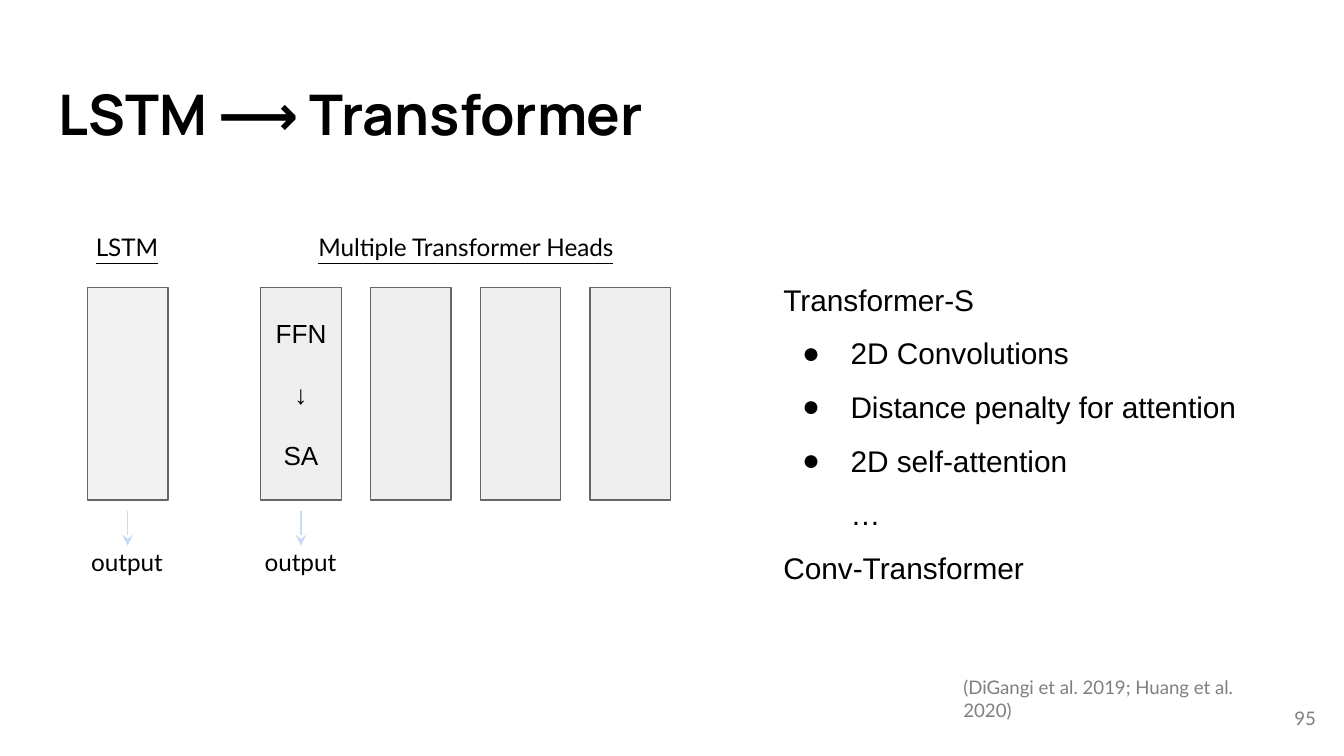
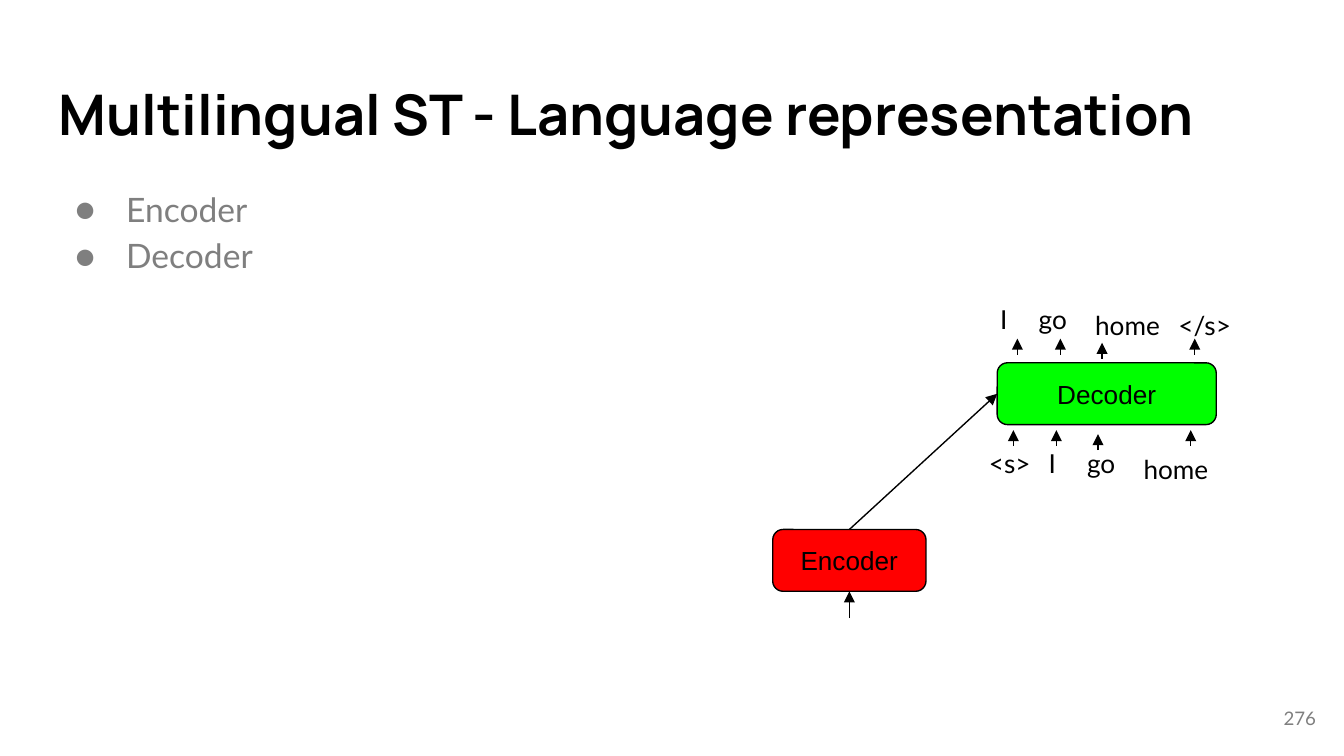
from lxml.etree import SubElement
from pptx import Presentation
from pptx.dml.color import RGBColor
from pptx.enum.shapes import MSO_CONNECTOR, MSO_SHAPE
from pptx.enum.text import MSO_ANCHOR, PP_ALIGN
from pptx.oxml.ns import qn
from pptx.util import Inches, Pt

COLOURS = {
    "text": "000000",
    "muted": "7F7F7F",
    "lstm": "F3F3F3",
    "head": "EFEFEF",
    "outline": "666666",
    "flow": "C9DAF8",
    "encoder": "FF0000",
    "decoder": "00FF00",
}
TITLE_FONT, BODY_FONT, DIAGRAM_FONT = "Manrope", "Lato", "Arial"
COLUMN_WIDTH, COLUMN_HEIGHT = 0.6, 1.58
BLOCK_HEIGHT = 0.46


def colour(name):
    """Return the named colour."""
    return RGBColor.from_string(COLOURS[name])


def set_font(paragraph, size, font=BODY_FONT, color="text", bold=None, underline=None):
    """Format every run of a paragraph."""
    for run in paragraph.runs:
        run.font.size = Pt(size)
        run.font.name = font
        run.font.color.rgb = colour(color)
        run.font.bold = bold
        run.font.underline = underline


def set_insets(text_frame):
    """Give a text frame wrapping and equal margins."""
    text_frame.word_wrap = True
    text_frame.margin_left = text_frame.margin_right = Inches(0.1)
    text_frame.margin_top = text_frame.margin_bottom = Inches(0.1)


def add_text(slide, box, text, size, align=PP_ALIGN.LEFT, anchor=MSO_ANCHOR.TOP, **style):
    """Add a text box with one paragraph."""
    text_frame = slide.shapes.add_textbox(*map(Inches, box)).text_frame
    set_insets(text_frame)
    text_frame.vertical_anchor = anchor
    text_frame.text = text
    paragraph = text_frame.paragraphs[0]
    paragraph.alignment = align
    set_font(paragraph, size, **style)


def add_list(slide, box, items, size, spacing, hanging, font=BODY_FONT, color="text"):
    """Add a text box of (text, bulleted) paragraphs."""
    text_frame = slide.shapes.add_textbox(*map(Inches, box)).text_frame
    set_insets(text_frame)
    for index, (text, bulleted) in enumerate(items):
        paragraph = text_frame.add_paragraph() if index else text_frame.paragraphs[0]
        paragraph.text = text
        if bulleted:
            properties = paragraph._p.get_or_add_pPr()
            properties.set("marL", str(Inches(0.5)))
            properties.set("indent", str(-Inches(hanging)))
            bullet_colour = SubElement(properties, qn("a:buClr"))
            SubElement(bullet_colour, qn("a:srgbClr"), val=COLOURS[color])
            SubElement(properties, qn("a:buFont"), typeface=font)
            SubElement(properties, qn("a:buChar"), char="●")
        paragraph.line_spacing = spacing
        set_font(paragraph, size, font, color)


def add_block(slide, kind, box, fill, line, lines=(), gap=0):
    """Add an outlined shape with centred lines of text."""
    shape = slide.shapes.add_shape(kind, *map(Inches, box))
    shape.shadow.inherit = False
    shape.fill.solid()
    shape.fill.fore_color.rgb = colour(fill)
    shape.line.color.rgb = colour(line)
    shape.line.width = Pt(0.75)
    set_insets(shape.text_frame)
    shape.text_frame.vertical_anchor = MSO_ANCHOR.MIDDLE
    shape.text_frame.text = "\n".join(lines)
    for index, paragraph in enumerate(shape.text_frame.paragraphs):
        paragraph.alignment = PP_ALIGN.CENTER
        if index and gap:
            paragraph.space_before = Pt(gap)
        set_font(paragraph, 14, font=DIAGRAM_FONT)
    return shape


def add_arrow(slide, start, end, color="text", head="triangle"):
    """Add a thin straight arrow."""
    arrow = slide.shapes.add_connector(
        MSO_CONNECTOR.STRAIGHT, *map(Inches, (*start, *end))
    )
    arrow.line.color.rgb = colour(color)
    arrow.line.width = Pt(0.75)
    SubElement(arrow.line._get_or_add_ln(), qn("a:tailEnd"), type=head)
    SubElement(arrow._element.spPr, qn("a:effectLst"))
    return arrow


def add_frame(slide, title, number):
    """Add the title and page number."""
    add_text(slide, (0.34, 0.49, 9.32, 0.68), title, 30, font=TITLE_FONT, bold=True)
    add_text(slide, (9.29, 5.13, 0.6, 0.43), number, 10, PP_ALIGN.RIGHT,
             MSO_ANCHOR.MIDDLE, color="muted")


def add_heading(slide, left, top, width, text):
    """Add an underlined column heading."""
    add_text(slide, (left, top, width, 0.42), text, 13, PP_ALIGN.CENTER, underline=True)


def add_column(slide, left, top, fill, lines=()):
    """Add a tall model column."""
    box = (left, top, COLUMN_WIDTH, COLUMN_HEIGHT)
    add_block(slide, MSO_SHAPE.RECTANGLE, box, fill, "outline", lines, gap=16)


def add_output(slide, left, top):
    """Add the arrow and output label below a column."""
    centre = left + COLUMN_WIDTH / 2
    bottom = top + COLUMN_HEIGHT
    add_arrow(slide, (centre, bottom + 0.08), (centre, bottom + 0.34), "flow", "stealth")
    add_text(slide, (centre - 0.39, bottom + 0.25, 0.77, 0.42), "output", 13,
             PP_ALIGN.CENTER)


def add_lstm(slide, left, top):
    """Draw the single LSTM column."""
    add_heading(slide, left - 0.09, top - 0.51, 0.77, "LSTM")
    add_column(slide, left, top, "lstm")
    add_output(slide, left, top)


def add_transformer_heads(slide, left, top, width, count=4):
    """Draw evenly spaced transformer heads."""
    add_heading(slide, left, top - 0.51, width, "Multiple Transformer Heads")
    pitch = (width - COLUMN_WIDTH) / (count - 1)
    for index in range(count):
        lines = () if index else ("FFN", "↓", "SA")
        add_column(slide, left + index * pitch, top, "head", lines)
    add_output(slide, left, top)


def add_encoder(slide, left, top):
    """Draw the encoder with its input arrow."""
    width = 1.14
    encoder = add_block(slide, MSO_SHAPE.ROUNDED_RECTANGLE,
                        (left, top, width, BLOCK_HEIGHT), "encoder", "text", ["Encoder"])
    centre, bottom = left + width / 2, top + BLOCK_HEIGHT
    arrow = add_arrow(slide, (centre, bottom + 0.2), (centre, bottom))
    arrow.end_connect(encoder, 2)
    return encoder


def add_decoder(slide, left, top):
    """Draw the decoder with its input and output tokens."""
    decoder = add_block(slide, MSO_SHAPE.ROUNDED_RECTANGLE,
                        (left, top, 1.63, BLOCK_HEIGHT), "decoder", "text", ["Decoder"])
    tokens = [
        ("I", -0.03, -0.54, 0.15),
        ("go", 0.21, -0.54, 0.6),
        ("home", 0.63, -0.5, 0.69),
        ("</s>", 1.25, -0.5, 0.6),
        ("<s>", -0.16, 0.53, 0.6),
        ("I", 0.33, 0.53, 0.15),
        ("go", 0.57, 0.53, 0.6),
        ("home", 0.99, 0.57, 0.69),
    ]
    for text, across, down, width in tokens:
        add_text(slide, (left + across, top + down, width, 0.44), text, 14)
    for across, down in [(0.15, 0), (0.47, 0), (0.78, 0.03), (1.47, 0)]:
        for shift, start in [(0, -0.06), (-0.03, 0.62)]:
            x, y = left + across + shift, top + down + start
            add_arrow(slide, (x, y), (x, y - 0.12))
    return decoder


def build_transformer_slide(presentation):
    """Build the LSTM to Transformer slide."""
    slide = presentation.slides.add_slide(presentation.slide_layouts[6])
    add_frame(slide, "LSTM ⟶ Transformer", "95")
    add_lstm(slide, 0.65, 2.14)
    add_transformer_heads(slide, 1.94, 2.14, 3.05)
    variants = [
        ("Transformer-S", False),
        ("2D Convolutions", True),
        ("Distance penalty for attention", True),
        ("2D self-attention\v…", True),
        ("Conv-Transformer", False),
    ]
    add_list(slide, (5.73, 1.86, 4.25, 2.49), variants, 16, 1.5, 0.36, font=DIAGRAM_FONT)
    add_text(slide, (7.07, 4.93, 2.59, 0.37),
             "(DiGangi et al. 2019; Huang et al. 2020)", 10, color="muted")


def build_language_slide(presentation):
    """Build the language representation slide."""
    slide = presentation.slides.add_slide(presentation.slide_layouts[6])
    add_frame(slide, "Multilingual ST - Language representation", "276")
    add_list(slide, (0.34, 1.26, 4.91, 3.74), [("Encoder", True), ("Decoder", True)],
             18, 1.15, 0.38, color="muted")
    encoder = add_encoder(slide, 5.75, 3.94)
    decoder = add_decoder(slide, 7.42, 2.7)
    link = add_arrow(slide, (6.32, 3.94), (7.42, 2.93))
    link.begin_connect(encoder, 0)
    link.end_connect(decoder, 1)


def main():
    """Build and save the presentation."""
    presentation = Presentation()
    presentation.slide_width = Inches(10)
    presentation.slide_height = Inches(10) * 9 // 16
    build_transformer_slide(presentation)
    build_language_slide(presentation)
    presentation.save("out.pptx")


if __name__ == "__main__":
    main()
